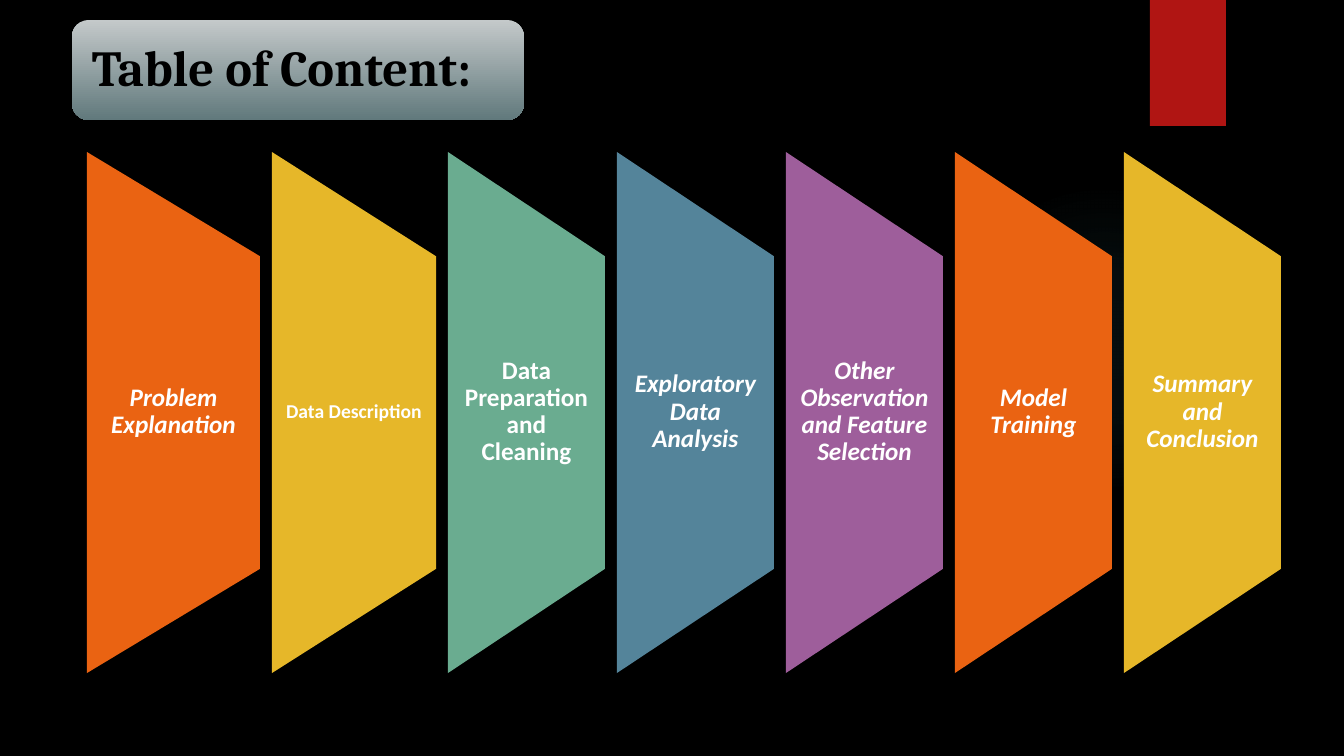
from lxml.etree import SubElement
from pptx import Presentation
from pptx.dml.color import RGBColor
from pptx.enum.shapes import MSO_SHAPE
from pptx.enum.text import MSO_ANCHOR, MSO_AUTO_SIZE, PP_ALIGN
from pptx.oxml.ns import qn
from pptx.util import Pt

SLIDE_WIDTH, SLIDE_HEIGHT = 1344, 756
EMU_PER_PX = 12192000 / SLIDE_WIDTH

HEADING = "Table of Content:"
BACKGROUND, RIBBON_RED, WHITE, BLACK = "000000", "B01513", "FFFFFF", "000000"
GLOW_STOPS = [(0, "50B9C1", 7), (36, "50B9C1", 6), (69, "50B9C1", 0)]
PLATE_STOPS = [(0, "C4C9CA", 100), (100, "61797C", 100)]

TOPICS = [
    ("Problem Explanation", "EA6312", 173, 18, True, 12),
    ("Data Description", "E6B729", 164, 14, False, 10),
    ("Data Preparation and Cleaning", "6AAC90", 157, 18, False, 12),
    ("Exploratory Data Analysis", "54849A", 157, 18, True, 12),
    ("Other Observation and Feature Selection", "9E5E9B", 157, 18, True, 12),
    ("Model Training", "EA6312", 157, 18, True, 12),
    ("Summary and Conclusion", "E6B729", 157, 18, True, 12),
]
PANEL_LEFT, PANEL_TOP, PANEL_HEIGHT, PANEL_GAP = 87, 152, 521, 12
LABEL_TOP, LABEL_HEIGHT = 256, 312


def px(length):
    return round(length * EMU_PER_PX)


def color(value):
    return RGBColor.from_string(value)


def add_block(kind, left, top, width, height, fill=None):
    block = slide.shapes.add_shape(kind, px(left), px(top), px(width), px(height))
    block.shadow.inherit = False
    block.line.fill.background()
    if fill:
        block.fill.solid()
        block.fill.fore_color.rgb = color(fill)
    return block


def fill_gradient(block, stops, radial=False):
    block.fill.gradient()
    gradient = block._element.spPr.find(qn("a:gradFill"))
    for child in list(gradient):
        gradient.remove(child)
    stop_list = SubElement(gradient, qn("a:gsLst"))
    for position, value, opacity in stops:
        stop = SubElement(stop_list, qn("a:gs"), pos=str(position * 1000))
        tint = SubElement(stop, qn("a:srgbClr"), val=value)
        SubElement(tint, qn("a:alpha"), val=str(opacity * 1000))
    if radial:
        circle = SubElement(gradient, qn("a:path"), {"path": "circle"})
        SubElement(circle, qn("a:fillToRect"), l="50000", t="50000", r="50000", b="50000")
    else:
        SubElement(gradient, qn("a:lin"), ang="5400000", scaled="0")


def write(holder, text, font_name, size, value, align, side_inset, end_inset=0, italic=False):
    frame = holder.text_frame
    frame.word_wrap = True
    frame.auto_size = MSO_AUTO_SIZE.NONE
    frame.vertical_anchor = MSO_ANCHOR.MIDDLE
    frame.margin_left = frame.margin_right = px(side_inset)
    frame.margin_top = frame.margin_bottom = px(end_inset)
    frame.text = text
    paragraph = frame.paragraphs[0]
    paragraph.alignment = align
    paragraph.line_spacing = 0.9
    font = paragraph.font
    font.name, font.size = font_name, Pt(size)
    font.bold, font.italic = True, italic
    font.color.rgb = color(value)


presentation = Presentation()
presentation.slide_width, presentation.slide_height = px(SLIDE_WIDTH), px(SLIDE_HEIGHT)
slide = presentation.slides.add_slide(presentation.slide_layouts[5])
slide.background.fill.solid()
slide.background.fill.fore_color.rgb = color(BACKGROUND)

glow = add_block(MSO_SHAPE.OVAL, 949, 184, 310, 310)
fill_gradient(glow, GLOW_STOPS, radial=True)
add_block(MSO_SHAPE.RECTANGLE, 1150, 0, 76, 126, RIBBON_RED)

left = PANEL_LEFT
for topic, fill, width, size, italic, inset in TOPICS:
    turned_left = left + (width - PANEL_HEIGHT) / 2
    turned_top = PANEL_TOP + (PANEL_HEIGHT - width) / 2
    panel = add_block(MSO_SHAPE.FLOWCHART_MANUAL_OPERATION,
                      turned_left, turned_top, PANEL_HEIGHT, width, fill)
    panel.rotation = 270
    label = slide.shapes.add_textbox(px(left), px(LABEL_TOP), px(width), px(LABEL_HEIGHT))
    write(label, topic, "Calibri", size, WHITE, PP_ALIGN.CENTER, inset, italic=italic)
    left += width + PANEL_GAP

plate = add_block(MSO_SHAPE.ROUNDED_RECTANGLE, 72, 20, 452, 100)
fill_gradient(plate, PLATE_STOPS)
title = slide.shapes.title
title.left, title.top, title.width, title.height = px(77), px(25), px(442), px(90)
write(title, HEADING, "Cambria", 36, BLACK, PP_ALIGN.LEFT, 15, end_inset=15)
plate._element.addnext(title._element)

presentation.save("out.pptx")
